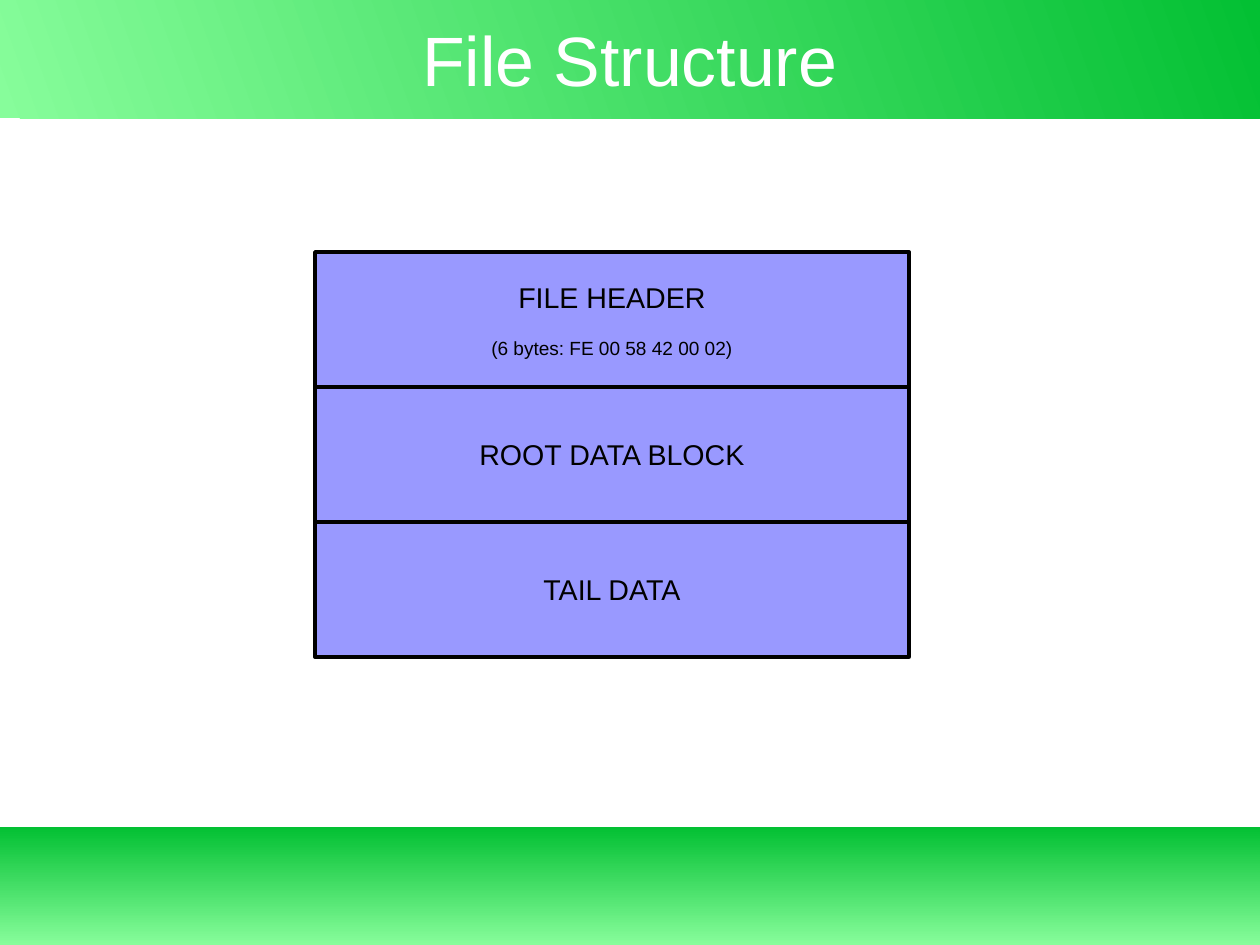
from pptx import Presentation
from pptx.dml.color import RGBColor
from pptx.enum.shapes import MSO_SHAPE
from pptx.enum.text import MSO_ANCHOR, PP_ALIGN
from pptx.util import Cm, Pt

WIDE, HIGH = Cm(28), Cm(21)
BAND = HIGH // 8
LEFT, TOP = WIDE // 4, Cm(5.6)
COL, ROW = Cm(13.2), HIGH // 7

LIGHT = RGBColor(0x87, 0xFD, 0x9B)
GREEN = RGBColor(0x03, 0xC0, 0x33)
BLUE = RGBColor(0x99, 0x99, 0xFF)
BLACK = RGBColor(0, 0, 0)
WHITE = RGBColor(255, 255, 255)

BLOCKS = [
    [("FILE HEADER", 18), ("(6 bytes: FE 00 58 42 00 02)", 12)],
    [("ROOT DATA BLOCK", 18)],
    [("TAIL DATA", 18)],
]


def add_rect(slide, left, top, width, height):
    shape = slide.shapes.add_shape(MSO_SHAPE.RECTANGLE, left, top, width, height)
    shape.shadow.inherit = False
    return shape


def add_band(slide, top, angle):
    band = add_rect(slide, 0, top, WIDE, BAND)
    band.line.fill.background()
    band.fill.gradient()
    band.fill.gradient_angle = angle
    for stop, color in zip(band.fill.gradient_stops, (LIGHT, GREEN)):
        stop.color.rgb = color


def set_text(frame, lines, color):
    frame.vertical_anchor = MSO_ANCHOR.MIDDLE
    frame.text = "\n".join(text for text, size in lines)
    for para, (text, size) in zip(frame.paragraphs, lines):
        para.alignment = PP_ALIGN.CENTER
        font = para.runs[0].font
        font.name, font.size = "Arial", Pt(size)
        font.color.rgb = color
    for para in frame.paragraphs[1:]:
        para.space_before = Pt(14)


def add_title(slide, text):
    side, high = WIDE // 20, Cm(1.78)
    box = slide.shapes.add_textbox(
        side, (BAND - high) // 2, WIDE - 2 * side, high)
    frame = box.text_frame
    frame.word_wrap = True
    frame.margin_left = frame.margin_right = 0
    frame.margin_top = frame.margin_bottom = 0
    set_text(frame, [(text, 44)], WHITE)


def add_block(slide, row, lines):
    block = add_rect(slide, LEFT, TOP + row * ROW, COL, ROW)
    block.fill.solid()
    block.fill.fore_color.rgb = BLUE
    block.line.color.rgb = BLACK
    block.line.width = Pt(2.3)
    block.text_frame.word_wrap = False
    set_text(block.text_frame, lines, BLACK)


def main():
    deck = Presentation()
    deck.slide_width, deck.slide_height = WIDE, HIGH
    slide = deck.slides.add_slide(deck.slide_layouts[6])
    add_band(slide, 0, 20)
    add_band(slide, HIGH - BAND, 90)
    add_title(slide, "File Structure")
    for row, lines in enumerate(BLOCKS):
        add_block(slide, row, lines)
    deck.save("out.pptx")


if __name__ == "__main__":
    main()
